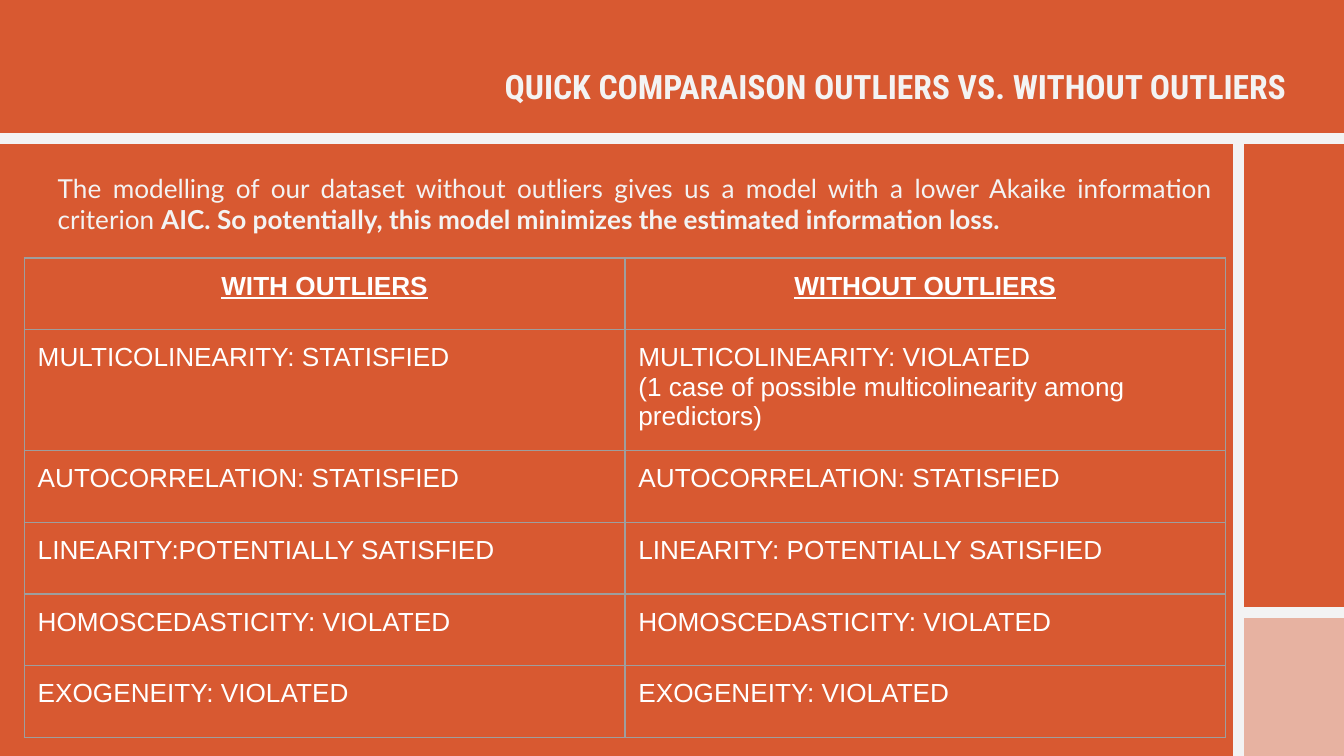
"""Build the slide comparing model assumptions with and without outliers."""
import pptx
import pptx.dml.color
import pptx.enum.shapes
import pptx.enum.text
import pptx.oxml
import pptx.oxml.ns
import pptx.util
from lxml import etree

Pt = pptx.util.Pt
ALIGN = pptx.enum.text.PP_ALIGN
OFF_WHITE = "F3F3F3"
INSET = 7.2


def rgb(value):
    return pptx.dml.color.RGBColor.from_string(value)


def style(font, name, size, color, bold=False):
    font.name, font.size, font.bold = name, Pt(size), bold
    font.color.rgb = rgb(color)


deck = pptx.Presentation()
deck.slide_width, deck.slide_height = Pt(720), Pt(405)
slide = deck.slides.add_slide(deck.slide_layouts[6])
slide.background.fill.solid()
slide.background.fill.fore_color.rgb = rgb("D85931")

dividers = [(720, 74.2, 0, 74.2), (663.7, 74.2, 663.7, 405), (720, 328.2, 664.5, 328.2)]
for ends in dividers:
    divider = slide.shapes.add_connector(
        pptx.enum.shapes.MSO_CONNECTOR.STRAIGHT, *[Pt(end) for end in ends])
    divider.line.color.rgb = rgb(OFF_WHITE)
    divider.line.width = Pt(6)
    etree.SubElement(divider._element.spPr, pptx.oxml.ns.qn("a:effectLst"))

corner = slide.shapes.add_shape(
    pptx.enum.shapes.MSO_SHAPE.RECTANGLE, Pt(663.7), Pt(328.2), Pt(56.3), Pt(76.8))
corner.shadow.inherit = False
corner.fill.solid()
corner.fill.fore_color.rgb = rgb(OFF_WHITE)
corner.line.fill.background()
corner_color = corner._element.spPr.find(".//" + pptx.oxml.ns.qn("a:srgbClr"))
etree.SubElement(corner_color, pptx.oxml.ns.qn("a:alpha"), val="58000")

texts = [
    ((23.8, 85, 632.9, 308.2), ALIGN.JUSTIFY, "Lato", 14, [
        ("The modelling of our dataset without outliers gives us a model with a lower "
         "Akaike information criterion ", False),
        ("AIC. So potentially, this model minimizes the estimated information loss.", True)]),
    ((256.3, 28.1, 444.2, 32.4), ALIGN.RIGHT, "Roboto Condensed", 18, [
        ("QUICK COMPARAISON OUTLIERS VS. WITHOUT OUTLIERS ", True)]),
]
for place, alignment, font_name, size, parts in texts:
    frame = slide.shapes.add_textbox(*[Pt(length) for length in place]).text_frame
    frame.word_wrap = True
    frame.margin_left = frame.margin_right = Pt(INSET)
    frame.margin_top = frame.margin_bottom = Pt(INSET)
    paragraph = frame.paragraphs[0]
    paragraph.alignment = alignment
    for words, bold in parts:
        run = paragraph.add_run()
        run.text = words
        style(run.font, font_name, size, OFF_WHITE, bold)

comparison = [
    ("WITH OUTLIERS", "WITHOUT OUTLIERS"),
    ("MULTICOLINEARITY: STATISFIED",
     "MULTICOLINEARITY: VIOLATED\n(1 case of possible multicolinearity among predictors)"),
    ("AUTOCORRELATION: STATISFIED", "AUTOCORRELATION: STATISFIED"),
    ("LINEARITY:POTENTIALLY SATISFIED", "LINEARITY: POTENTIALLY SATISFIED"),
    ("HOMOSCEDASTICITY: VIOLATED", "HOMOSCEDASTICITY: VIOLATED"),
    ("EXOGENEITY: VIOLATED", "EXOGENEITY: VIOLATED"),
]
table = slide.shapes.add_table(
    len(comparison), 2, Pt(13), Pt(138.2), Pt(643.6), Pt(256.8)).table
table.horz_banding = False
for column in table.columns:
    column.width = Pt(321.8)
for row_number, labels in enumerate(comparison):
    heading = row_number == 0
    table.rows[row_number].height = Pt(64.8 if row_number == 1 else 38.4)
    for column_number, label in enumerate(labels):
        cell = table.cell(row_number, column_number)
        cell.text_frame.text = label
        cell.margin_left = cell.margin_right = Pt(INSET)
        cell.margin_top = cell.margin_bottom = Pt(INSET)
        for paragraph in cell.text_frame.paragraphs:
            paragraph.alignment = ALIGN.CENTER if heading else ALIGN.LEFT
            for run in paragraph.runs:
                style(run.font, "Arial", 14, "FFFFFF", heading)
                run.font.underline = heading
        cell_properties = cell._tc.get_or_add_tcPr()
        for side in ("lnL", "lnR", "lnT", "lnB"):
            cell_properties.append(pptx.oxml.parse_xml(
                f'<a:{side} {pptx.oxml.ns.nsdecls("a")} w="{Pt(0.75)}">'
                f'<a:solidFill><a:srgbClr val="9E9E9E"/></a:solidFill></a:{side}>'))
        cell.fill.background()

deck.save("out.pptx")
